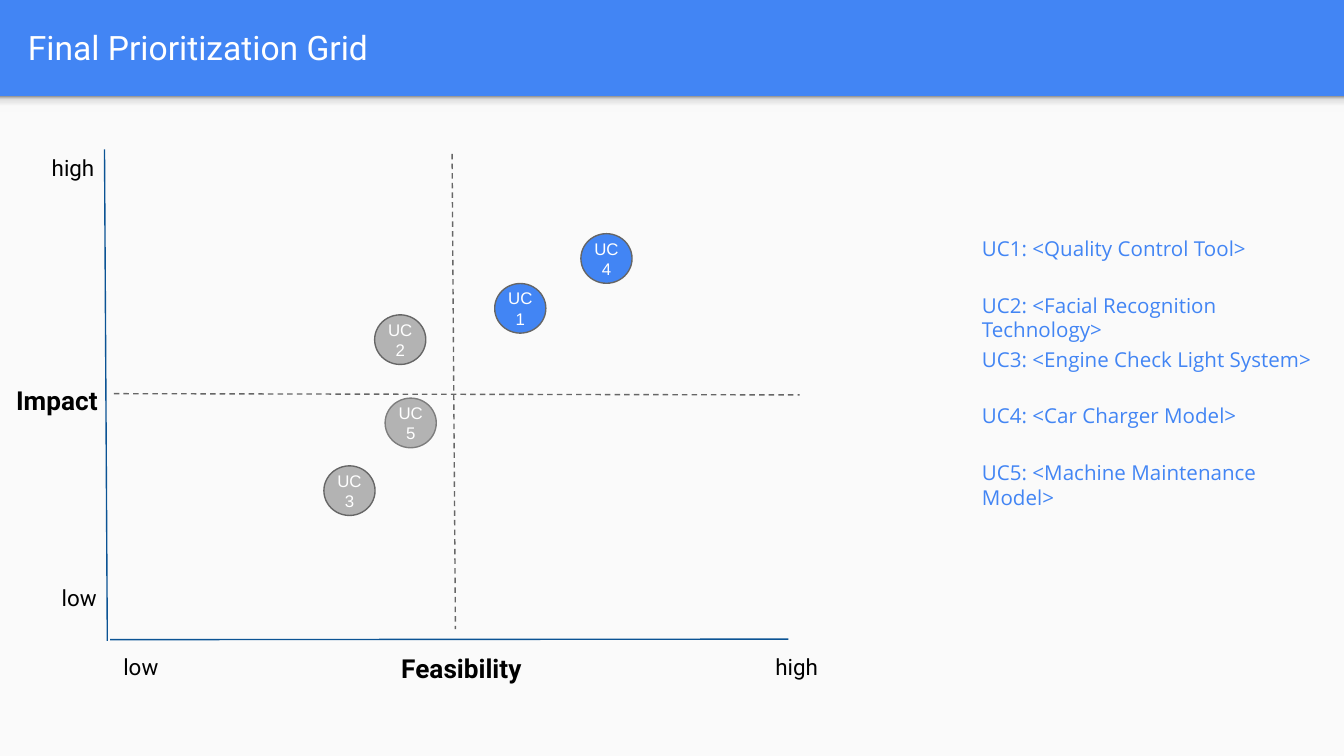
from copy import deepcopy

from lxml.etree import SubElement
from pptx import Presentation
from pptx.dml.color import RGBColor
from pptx.enum.dml import MSO_LINE
from pptx.enum.shapes import MSO_CONNECTOR, MSO_SHAPE
from pptx.enum.text import MSO_ANCHOR, PP_ALIGN
from pptx.oxml.ns import qn
from pptx.util import Pt

BLUE = RGBColor(0x42, 0x85, 0xF4)
NAVY = RGBColor(0x0B, 0x53, 0x94)
GRAY = RGBColor(0xB3, 0xB3, 0xB3)
DARK_GRAY = RGBColor(0x66, 0x66, 0x66)
MID_GRAY = RGBColor(0x7D, 0x7D, 0x7D)
PAPER = RGBColor(0xFA, 0xFA, 0xFA)
WHITE = RGBColor(0xFF, 0xFF, 0xFF)
BLACK = RGBColor(0, 0, 0)
SHADOW_STOPS = [
    (0, RGBColor(0xF9, 0xF9, 0xF9)),
    (0.36, RGBColor(0xF9, 0xF9, 0xF9)),
    (0.8, RGBColor(0xDE, 0xDE, 0xDE)),
    (1, RGBColor(0x99, 0x99, 0x99)),
]

WIDTH, HEIGHT = 720, 405
HEADER_HEIGHT = 51.5
BUBBLE_SIZE = (27.4, 26.6)
LEGEND_LEFT, LEGEND_TOP, LEGEND_STEP = 519, 119.6, 29.9

BUBBLES = [
    (1, 265, 151.9, BLUE, DARK_GRAY),
    (2, 200.7, 168.7, GRAY, DARK_GRAY),
    (3, 173.5, 249.6, GRAY, DARK_GRAY),
    (4, 311.2, 125.2, BLUE, DARK_GRAY),
    (5, 206.3, 213.3, GRAY, MID_GRAY),
]
USE_CASES = [
    "Quality Control Tool",
    "Facial Recognition Technology",
    "Engine Check Light System",
    "Car Charger Model",
    "Machine Maintenance Model",
]
SCALE_LABELS = [
    ("high", 20.6, 75.6),
    ("low", 59, 342.7),
    ("low", 26, 305.6),
    ("high", 408.3, 342.5),
]


def set_text(tf, text, size=12, font="Roboto", color=BLACK, bold=False,
             align=PP_ALIGN.LEFT, anchor=MSO_ANCHOR.TOP, margin=7.2):
    tf.word_wrap = True
    tf.vertical_anchor = anchor
    tf.margin_left = tf.margin_right = Pt(margin)
    tf.margin_top = tf.margin_bottom = Pt(margin)
    p = tf.paragraphs[0]
    p.text = text
    p.alignment = align
    for r in p.runs:
        r.font.size = Pt(size)
        r.font.name = font
        r.font.bold = bold
        r.font.color.rgb = color
    for br in p._p.findall(qn("a:br")):
        SubElement(br, qn("a:rPr"), sz=str(size * 100))


def add_label(s, text, left, top, width, height, **text_format):
    box = s.shapes.add_textbox(Pt(left), Pt(top), Pt(width), Pt(height))
    set_text(box.text_frame, text, **text_format)


def add_panel(s, kind, left, top, width, height, fill=None, line=None):
    sp = s.shapes.add_shape(kind, Pt(left), Pt(top), Pt(width), Pt(height))
    sp.shadow.inherit = False
    if fill is not None:
        sp.fill.solid()
        sp.fill.fore_color.rgb = fill
    if line is None:
        sp.line.fill.background()
    else:
        sp.line.color.rgb = line
        sp.line.width = Pt(0.75)
    return sp


def add_header_shadow(s):
    sp = add_panel(s, MSO_SHAPE.RECTANGLE, 0, HEADER_HEIGHT, WIDTH, 8.6)
    sp.fill.gradient()
    sp.fill.gradient_angle = 90
    stops = sp._element.spPr.find(".//" + qn("a:gsLst"))
    while len(stops) < len(SHADOW_STOPS):
        stops.append(deepcopy(stops[0]))
    for stop, (position, color) in zip(sp.fill.gradient_stops, SHADOW_STOPS):
        stop.position = position
        stop.color.rgb = color


def add_bubble(s, number, left, top, fill, line):
    sp = add_panel(s, MSO_SHAPE.OVAL, left, top, *BUBBLE_SIZE, fill, line)
    set_text(sp.text_frame, f"UC\v{number}", size=9, font="Arial", color=WHITE,
             align=PP_ALIGN.CENTER, anchor=MSO_ANCHOR.MIDDLE, margin=0)


def add_line(s, x1, y1, x2, y2, color, dash=None):
    line = s.shapes.add_connector(MSO_CONNECTOR.STRAIGHT,
                                  Pt(x1), Pt(y1), Pt(x2), Pt(y2))
    line.line.color.rgb = color
    line.line.width = Pt(0.75)
    if dash is not None:
        line.line.dash_style = dash
    SubElement(line._element.spPr, qn("a:effectLst"))


def main():
    prs = Presentation()
    prs.slide_width, prs.slide_height = Pt(WIDTH), Pt(HEIGHT)
    s = prs.slides.add_slide(prs.slide_layouts[6])
    s.background.fill.solid()
    s.background.fill.fore_color.rgb = BLUE

    add_panel(s, MSO_SHAPE.RECTANGLE, 0, HEADER_HEIGHT,
              WIDTH, HEIGHT - HEADER_HEIGHT, PAPER)
    add_header_shadow(s)
    add_label(s, "Final Prioritization Grid", 7.9, 1.6, 695, 47.8,
              size=18, color=WHITE, anchor=MSO_ANCHOR.MIDDLE)

    for bubble in BUBBLES:
        add_bubble(s, *bubble)
    for i, name in enumerate(USE_CASES):
        add_label(s, f"UC{i + 1}: <{name}>", LEGEND_LEFT,
                  LEGEND_TOP + i * LEGEND_STEP, 196, 32.4,
                  size=11, font="Open Sans", color=BLUE)

    add_line(s, 242.2, 82.5, 244, 337, DARK_GRAY, MSO_LINE.DASH)
    add_line(s, 61, 210.9, 428.4, 211.6, DARK_GRAY, MSO_LINE.DASH)
    add_line(s, 56, 80, 57.5, 343.4, NAVY)
    add_line(s, 422.4, 342.4, 59, 342.7, NAVY)

    add_label(s, "Impact", 1.5, 198.7, 60, 32.4, size=14, bold=True)
    add_label(s, "Feasibility", 122.2, 342.5, 250, 32.4,
              size=14, bold=True, align=PP_ALIGN.CENTER)
    for text, left, top in SCALE_LABELS:
        add_label(s, text, left, top, 59, 17)

    prs.save("out.pptx")


if __name__ == "__main__":
    main()
